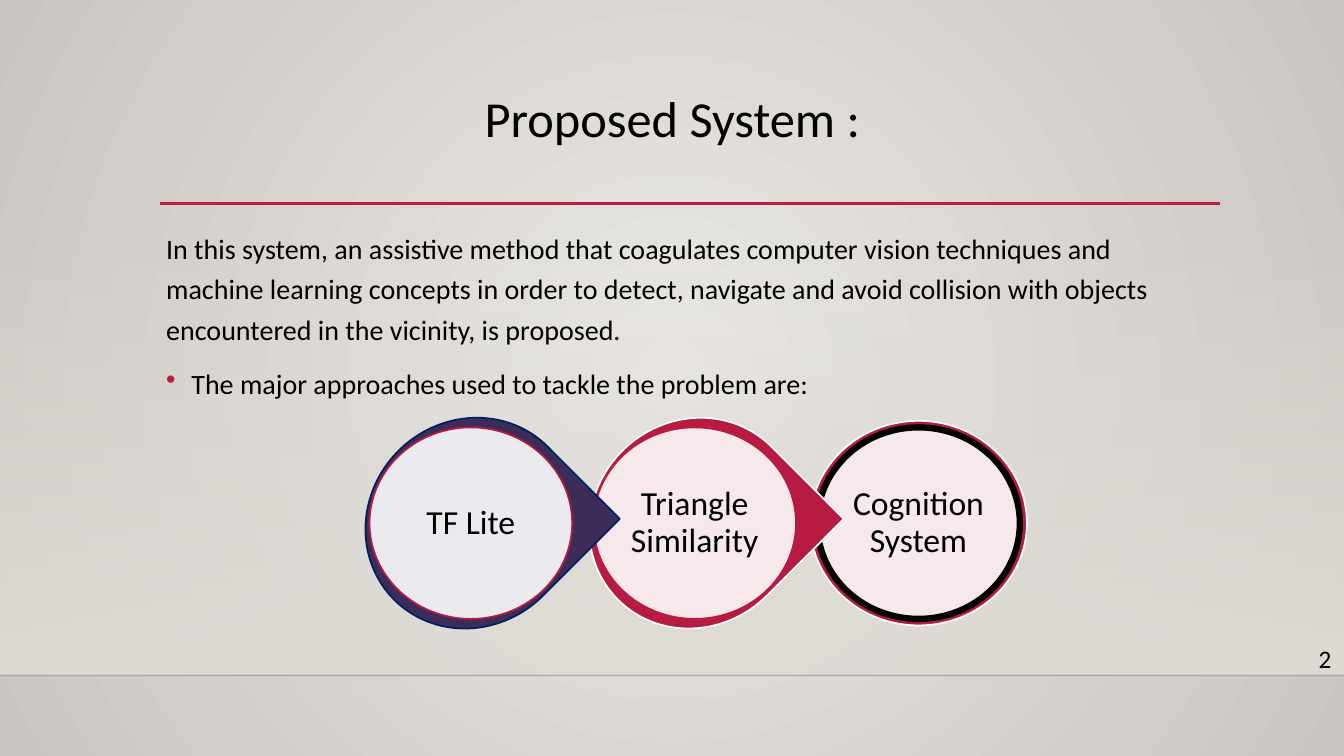
from dataclasses import dataclass

from pptx import Presentation
from pptx import util as u
from pptx.dml.color import RGBColor
from pptx.enum import shapes, text
from pptx.oxml import parse_xml
from pptx.oxml.ns import nsdecls, qn
from pptx.oxml.xmlchemy import OxmlElement

COLORS = {
    "black": "000000", "white": "FFFFFF", "crimson": "B71B42",
    "accent": "B71E42", "purple": "3B2C5A", "navy": "002060",
    "glow": "EBE9E6", "edge": "C9C5C0", "floor": "DFDBD5",
}
FONT = "Calibri"


@dataclass
class Approach:
    """One step of the chain: an outer shape, a pale disc and a label."""
    label: str
    outer: shapes.MSO_SHAPE
    size: tuple[float, float]
    rotation: float
    fill: str
    outline: str
    ring: str
    ring_width: float


TEARDROP = (shapes.MSO_SHAPE.TEAR, (2.03, 2.15), 45)
APPROACHES = [
    Approach("TF Lite", *TEARDROP, "purple", "navy", "crimson", 1.25),
    Approach("Triangle Similarity", *TEARDROP, "crimson", "white", "crimson", 1.25),
    Approach("Cognition System", shapes.MSO_SHAPE.OVAL, (2.15, 2.03), 0,
             "crimson", "white", "black", 4.5),
]
FIRST_CENTER, CENTER_Y, PITCH = 4.67, 5.19, 2.22
DISC_SIZE = (2.01, 1.9)
LABEL_SIZE = (1.43, 1.36)


def rgb(name: str) -> RGBColor:
    return RGBColor.from_string(COLORS[name])


def inches(*lengths: float) -> list[u.Length]:
    return [u.Inches(length) for length in lengths]


def centered(x: float, y: float, size: tuple[float, float]) -> list[u.Length]:
    width, height = size
    return inches(x - width / 2, y - height / 2, width, height)


def set_opacity(shape, percent: int) -> None:
    """Apply opacity to the first colour in the shape's properties."""
    color = next(shape.element.spPr.iter(qn("a:srgbClr")))
    alpha = OxmlElement("a:alpha")
    alpha.set("val", str(percent * 1000))
    color.append(alpha)


def set_gradient(fill, start: str, end: str) -> None:
    fill.gradient()
    for stop, name, position in zip(fill.gradient_stops, (start, end), (0, 1)):
        stop.color.rgb = rgb(name)
        stop.position = position


def add_rule(slide, x1: float, x2: float, y: float, color: str, width: float):
    rule = slide.shapes.add_connector(
        shapes.MSO_CONNECTOR.STRAIGHT, *inches(x1, y, x2, y))
    rule.line.color.rgb = rgb(color)
    rule.line.width = u.Pt(width)
    rule.element.spPr.append(OxmlElement("a:effectLst"))
    return rule


def add_filled(slide, kind, box: list[u.Length], fill: str, outline: str,
               width: float, opacity: int = 100):
    shape = slide.shapes.add_shape(kind, *box)
    shape.shadow.inherit = False
    shape.fill.solid()
    shape.fill.fore_color.rgb = rgb(fill)
    if opacity < 100:
        set_opacity(shape, opacity)
    shape.line.color.rgb = rgb(outline)
    shape.line.width = u.Pt(width)
    return shape


def set_frame(frame, inset_x: float = 0.1, inset_y: float = 0.05,
              anchor=text.MSO_ANCHOR.TOP) -> None:
    frame.word_wrap = True
    frame.auto_size = text.MSO_AUTO_SIZE.NONE
    frame.vertical_anchor = anchor
    frame.margin_left = frame.margin_right = u.Inches(inset_x)
    frame.margin_top = frame.margin_bottom = u.Inches(inset_y)


def write(paragraph, words: str, size: float, spacing: float = 1.0,
          align=text.PP_ALIGN.LEFT) -> None:
    paragraph.alignment = align
    paragraph.line_spacing = spacing
    run = paragraph.add_run()
    run.text = words
    run.font.name = FONT
    run.font.size = u.Pt(size)
    run.font.color.rgb = rgb("black")


def add_bullet(paragraph) -> None:
    properties = paragraph._p.get_or_add_pPr()
    properties.set("marL", str(u.Inches(0.25)))
    properties.set("indent", str(u.Inches(-0.25)))
    properties.append(parse_xml(
        f'<a:buClr {nsdecls("a")}><a:srgbClr val="{COLORS["accent"]}"/></a:buClr>'))
    properties.append(parse_xml(f'<a:buChar {nsdecls("a")} char="•"/>'))


def draw_backdrop(slide) -> None:
    # Radial background
    set_gradient(slide.background.fill, "glow", "edge")
    linear = next(slide.element.iter(qn("a:lin")))
    linear.getparent().replace(linear, parse_xml(
        f'<a:path {nsdecls("a")} path="circle">'
        '<a:fillToRect l="50000" t="50000" r="50000" b="50000"/></a:path>'))

    # Wall fading in towards the floor line
    wall = slide.shapes.add_shape(
        shapes.MSO_SHAPE.RECTANGLE, *inches(0, 2.21, 13.33, 4.49))
    wall.shadow.inherit = False
    set_gradient(wall.fill, "floor", "floor")
    wall.fill.gradient_angle = 270
    set_opacity(wall, 0)
    wall.line.fill.background()

    floor_line = add_rule(slide, 0, 13.33, 6.7, "black", 1)
    set_opacity(floor_line, 20)
    add_rule(slide, 1.59, 12.1, 2.02, "accent", 2.5)


def draw_text(slide) -> None:
    # Title
    title = slide.shapes.title
    title.left, title.top, title.width, title.height = inches(1.42, 0.88, 10.5, 1.15)
    set_frame(title.text_frame)
    write(title.text_frame.paragraphs[0], "Proposed System :", 36, 0.9,
          text.PP_ALIGN.CENTER)

    # Introduction
    body = slide.shapes.add_textbox(*inches(1.55, 2.18, 10.5, 3.77)).text_frame
    set_frame(body)
    write(body.paragraphs[0],
          "In this system, an assistive method that coagulates computer vision "
          "techniques and machine learning concepts in order to detect, navigate "
          "and avoid collision with objects encountered in the vicinity, is "
          "proposed.", 20, 1.2)
    lead_in = body.add_paragraph()
    write(lead_in, "The major approaches used to tackle the problem are:", 20, 1.2)
    lead_in.space_before = u.Pt(10)
    add_bullet(lead_in)

    # Page number
    page_number = slide.shapes.add_textbox(*inches(12.98, 6.33, 0.36, 0.4)).text_frame
    set_frame(page_number)
    write(page_number.paragraphs[0], "2", 18)


def draw_approach(slide, approach: Approach, x: float) -> None:
    outer = add_filled(slide, approach.outer, centered(x, CENTER_Y, approach.size),
                       approach.fill, approach.outline, 1.25)
    outer.rotation = approach.rotation
    add_filled(slide, shapes.MSO_SHAPE.OVAL, centered(x, CENTER_Y, DISC_SIZE),
               "white", approach.ring, approach.ring_width, opacity=90)
    label = slide.shapes.add_textbox(*centered(x, CENTER_Y, LABEL_SIZE)).text_frame
    set_frame(label, 0.03, 0.03, text.MSO_ANCHOR.MIDDLE)
    write(label.paragraphs[0], approach.label, 24, 0.9, text.PP_ALIGN.CENTER)


def main() -> None:
    deck = Presentation()
    deck.slide_width, deck.slide_height = inches(13.33, 7.5)
    slide = deck.slides.add_slide(deck.slide_layouts[5])
    draw_backdrop(slide)
    draw_text(slide)
    # Right to left, so each tip overlaps the next step
    for index, approach in reversed(list(enumerate(APPROACHES))):
        draw_approach(slide, approach, FIRST_CENTER + index * PITCH)
    deck.save("out.pptx")


if __name__ == "__main__":
    main()
